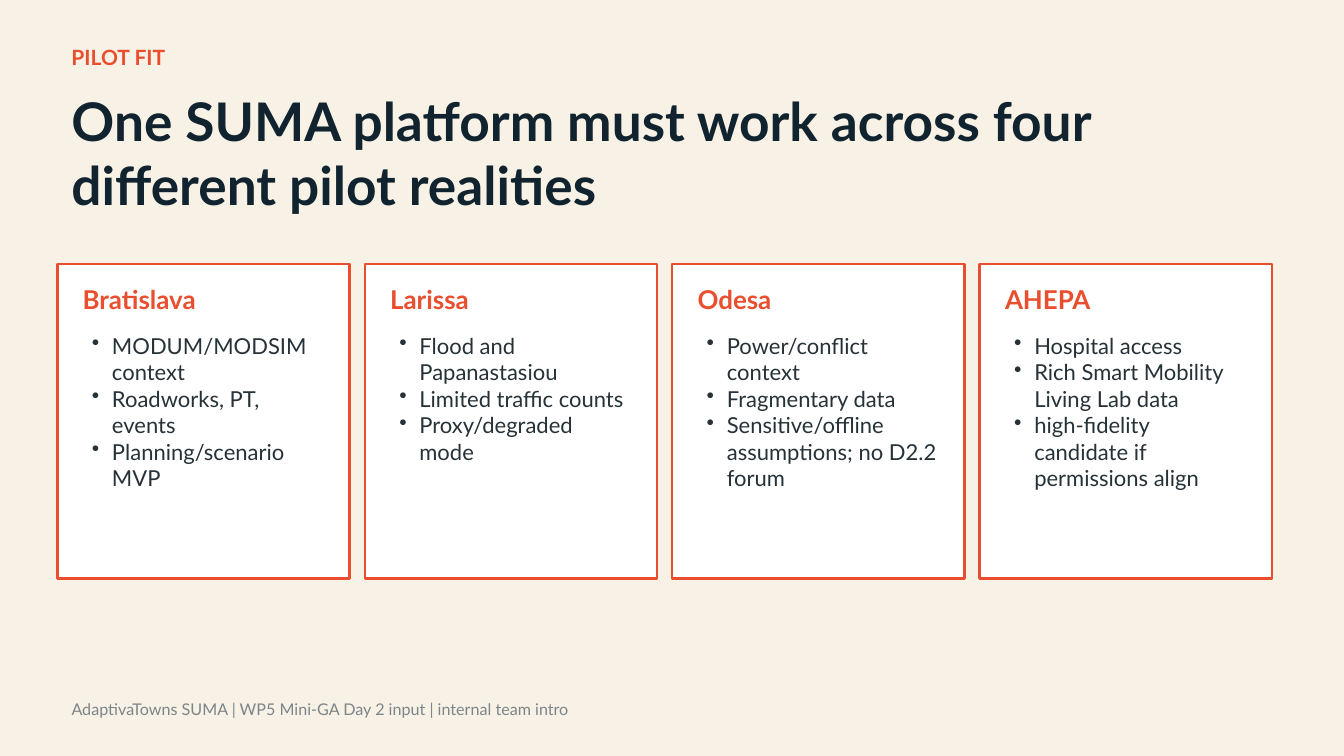
from pptx import Presentation
from pptx.dml.color import RGBColor
from pptx.enum.shapes import MSO_SHAPE
from pptx.oxml.ns import qn
from pptx.util import Pt
from lxml.etree import SubElement

CREAM = RGBColor(0xF7, 0xF1, 0xE6)
CORAL = RGBColor(0xE9, 0x4F, 0x2E)
NAVY = RGBColor(0x10, 0x23, 0x2E)
SLATE = RGBColor(0x26, 0x32, 0x38)
GRAY = RGBColor(0x7D, 0x85, 0x88)
WHITE = RGBColor(0xFF, 0xFF, 0xFF)
FONT = "Lato"

LEFT, TOP, PITCH = 41, 188.6, 219.6
WIDTH, HEIGHT = 208.8, 224.6

PILOTS = [
    ("Bratislava", ["MODUM/MODSIM context", "Roadworks, PT, events", "Planning/scenario MVP"]),
    ("Larissa", ["Flood and Papanastasiou", "Limited traffic counts", "Proxy/degraded mode"]),
    ("Odesa", ["Power/conflict context", "Fragmentary data",
               "Sensitive/offline assumptions; no D2.2 forum"]),
    ("AHEPA", ["Hospital access", "Rich Smart Mobility Living Lab data",
               "high-fidelity candidate if permissions align"]),
]


def add_bullet(para):
    props = para._p.get_or_add_pPr()
    props.set("marL", str(Pt(20.2)))
    props.set("indent", str(Pt(-14.4)))
    SubElement(props, qn("a:buChar")).set("char", "•")


def add_text(slide, box, lines, size, color, bold=False, bullet=False):
    frame = slide.shapes.add_textbox(*map(Pt, box)).text_frame
    frame.word_wrap = True
    for index, line in enumerate(lines):
        para = frame.add_paragraph() if index else frame.paragraphs[0]
        if bullet:
            add_bullet(para)
        run = para.add_run()
        run.text = line
        font = run.font
        font.name = FONT
        font.size = Pt(size)
        font.bold = bold
        font.color.rgb = color


def add_card(slide, left, name, points):
    card = slide.shapes.add_shape(
        MSO_SHAPE.RECTANGLE, Pt(left), Pt(TOP), Pt(WIDTH), Pt(HEIGHT))
    card.shadow.inherit = False
    card.fill.solid()
    card.fill.fore_color.rgb = WHITE
    card.line.color.rgb = CORAL
    card.line.width = Pt(1.73)
    add_text(slide, (left + 11, TOP + 10.8, 186.5, 28), [name], 18.5, CORAL, bold=True)
    add_text(slide, (left + 11.7, TOP + 45.4, 186.5, 161.3), points, 15.7, SLATE, bullet=True)


def main():
    deck = Presentation()
    deck.slide_width, deck.slide_height = Pt(960), Pt(540)
    slide = deck.slides.add_slide(deck.slide_layouts[6])
    slide.background.fill.solid()
    slide.background.fill.fore_color.rgb = CREAM

    add_text(slide, (44, 28, 818.6, 23.8), ["PILOT FIT"], 15, CORAL, bold=True)
    add_text(slide, (44, 59.8, 818.6, 77),
             ["One SUMA platform must work across four different pilot realities"],
             38, NAVY, bold=True)
    for index, (name, points) in enumerate(PILOTS):
        add_card(slide, LEFT + index * PITCH, name, points)
    add_text(slide, (44, 496, 826.6, 17.3),
             ["AdaptivaTowns SUMA | WP5 Mini-GA Day 2 input | internal team intro"],
             11.5, GRAY)
    deck.save("out.pptx")


if __name__ == "__main__":
    main()
